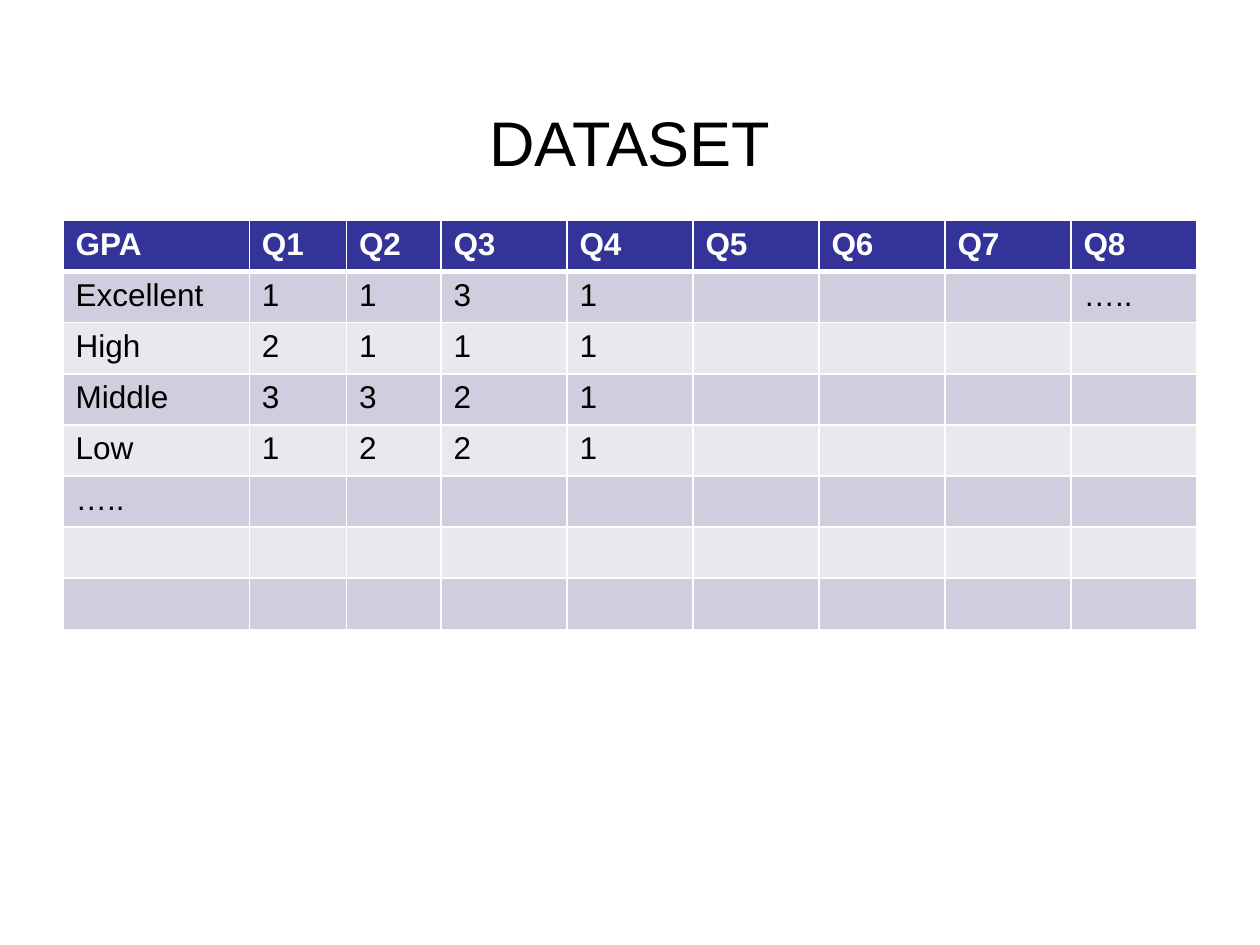
from dataclasses import dataclass

import pptx
import pptx.dml.color
import pptx.enum.text
import pptx.oxml
import pptx.oxml.ns
import pptx.util

Pt = pptx.util.Pt
RGB = pptx.dml.color.RGBColor.from_string


@dataclass(frozen=True)
class Theme:
    font: str = "Arial"
    title_size: int = 36
    cell_size: int = 18
    ink: str = "000000"
    paper: str = "FFFFFF"
    header: str = "333399"
    bands: tuple = ("CECEDE", "E8E8EF")
    rule: int = 1
    header_rule: int = 3


THEME = Theme()
MARGIN, WIDTH = 36, 648
TABLE_TOP, ROW_HEIGHT = 126, 29.2
COL_WIDTHS = [106.5, 55.5, 54] + [72] * 6
ROWS = [
    ["GPA"] + [f"Q{n}" for n in range(1, 9)],
    ["Excellent", "1", "1", "3", "1", "", "", "", "….."],
    ["High", "2", "1", "1", "1"],
    ["Middle", "3", "3", "2", "1"],
    ["Low", "1", "2", "2", "1"],
    ["….."],
    [],
    [],
]


def set_attrs(obj, values):
    for name, value in values.items():
        setattr(obj, name, value)


def write(tf, text, size, color, bold=False):
    p = tf.paragraphs[0]
    target = p.font
    if text:
        r = p.add_run()
        r.text = text
        target = r.font
    set_attrs(target, {"name": THEME.font, "size": Pt(size), "bold": bold})
    target.color.rgb = RGB(color)
    return p


def set_borders(cell, widths):
    ns = pptx.oxml.ns.nsdecls("a")
    tc_pr = cell._tc.get_or_add_tcPr()
    for i, (side, width) in enumerate(widths.items()):
        tc_pr.insert(i, pptx.oxml.parse_xml(
            f'<a:ln{side} {ns} w="{Pt(width)}"><a:solidFill>'
            f'<a:srgbClr val="{THEME.paper}"/></a:solidFill></a:ln{side}>'))


def add_title(s, text):
    sp = s.shapes.title
    set_attrs(sp, {"left": Pt(MARGIN), "top": Pt(36),
                   "width": Pt(WIDTH), "height": Pt(90)})
    tf = sp.text_frame
    tf.vertical_anchor = pptx.enum.text.MSO_ANCHOR.MIDDLE
    p = write(tf, text, THEME.title_size, THEME.ink)
    p.alignment = pptx.enum.text.PP_ALIGN.CENTER


def format_cell(cell, text, row):
    is_header = row == 0
    cell.fill.solid()
    fill = THEME.header if is_header else THEME.bands[(row - 1) % 2]
    cell.fill.fore_color.rgb = RGB(fill)
    color = THEME.paper if is_header else THEME.ink
    write(cell.text_frame, text, THEME.cell_size, color, is_header)
    set_borders(cell, {
        "L": THEME.rule,
        "R": THEME.rule,
        "T": THEME.header_rule if row == 1 else THEME.rule,
        "B": THEME.header_rule if is_header else THEME.rule,
    })


def add_dataset_table(s, rows):
    table = s.shapes.add_table(
        len(rows), len(COL_WIDTHS), Pt(MARGIN), Pt(TABLE_TOP),
        Pt(WIDTH), Pt(ROW_HEIGHT * len(rows))).table
    for column, width in zip(table.columns, COL_WIDTHS):
        column.width = Pt(width)
    for i, values in enumerate(rows):
        table.rows[i].height = Pt(ROW_HEIGHT)
        for j in range(len(COL_WIDTHS)):
            text = values[j] if j < len(values) else ""
            format_cell(table.cell(i, j), text, i)


def main():
    prs = pptx.Presentation()
    set_attrs(prs, {"slide_width": Pt(720), "slide_height": Pt(540)})
    s = prs.slides.add_slide(prs.slide_layouts[5])
    add_title(s, "DATASET")
    add_dataset_table(s, ROWS)
    prs.save("out.pptx")


if __name__ == "__main__":
    main()
